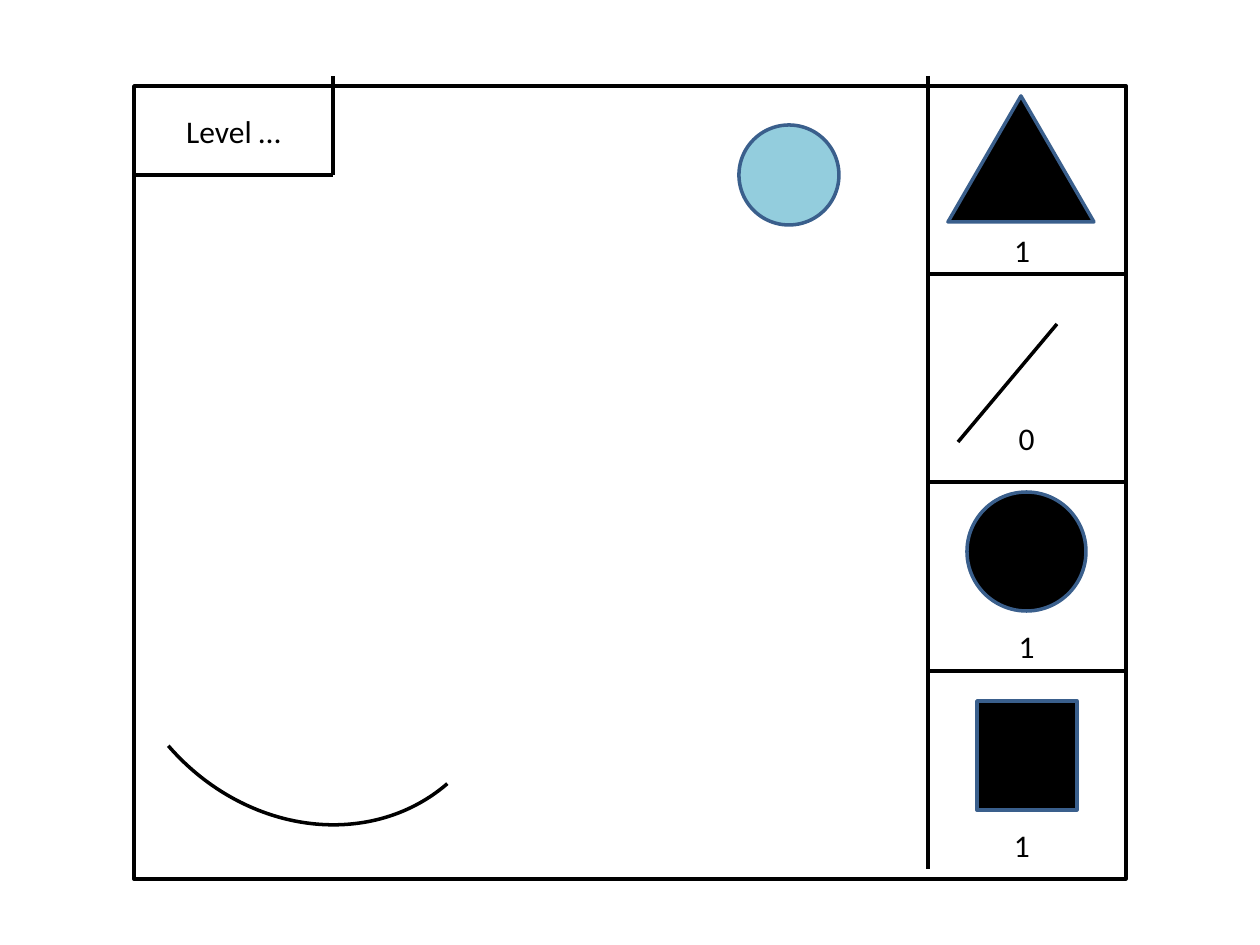
from pptx import Presentation
from pptx import util as u
from pptx.dml.color import RGBColor
from pptx.enum import shapes, text
from pptx.oxml.ns import qn
from lxml import etree

SCALE = 914400 / 126
BLACK, WHITE, BLUE, SKY = "000000", "FFFFFF", "3A5F8C", "93CDDD"
KIND = shapes.MSO_SHAPE


def px(n):
    """Turn pixels into EMU."""
    return u.Emu(round(n * SCALE))


def color(code):
    """Turn a hex string into a colour."""
    return RGBColor.from_string(code)


def write(frame, words, size=18, font="Calibri", ink=BLACK,
          align=text.PP_ALIGN.CENTER):
    """Put formatted text into a frame."""
    para = frame.paragraphs[0]
    para.alignment = align
    run = para.add_run()
    run.text = words
    run.font.size = u.Pt(size)
    run.font.name = font
    run.font.color.rgb = color(ink)


class Board:
    """Holds the line style and the current slide."""

    def __init__(self, slide, width=2):
        """Keep the slide and the line width in points."""
        self.items = slide.shapes
        self.width = u.Pt(width)

    def stroke(self, item, ink):
        """Set the outline of an item."""
        item.line.color.rgb = color(ink)
        item.line.width = self.width

    def shape(self, kind, x, y, w, h, fill=None, ink=BLUE, turn=0):
        """Add a preset shape."""
        item = self.items.add_shape(kind, px(x), px(y), px(w), px(h))
        item.shadow.inherit = False
        item.rotation = turn
        if fill:
            item.fill.solid()
            item.fill.fore_color.rgb = color(fill)
        else:
            item.fill.background()
        self.stroke(item, ink)

    def line(self, x1, y1, x2, y2, ink=BLACK):
        """Add a straight line."""
        item = self.items.add_connector(
            shapes.MSO_CONNECTOR.STRAIGHT, px(x1), px(y1), px(x2), px(y2))
        self.stroke(item, ink)
        etree.SubElement(item._element.spPr, qn("a:effectLst"))

    def label(self, words, x, y, w, h=51):
        """Add a centred text box."""
        frame = self.items.add_textbox(px(x), px(y), px(w), px(h)).text_frame
        frame.word_wrap = True
        frame.auto_size = text.MSO_AUTO_SIZE.SHAPE_TO_FIT_TEXT
        write(frame, words)


deck = Presentation()
deck.slide_width, deck.slide_height = px(1260), px(945)
board = Board(deck.slides.add_slide(deck.slide_layouts[6]))

LEFT, TOP, SIDE, RIGHT = 134, 86, 928, 1126
board.shape(KIND.RECTANGLE, LEFT, TOP, RIGHT - LEFT, 793, WHITE, BLACK)

# Tool column
board.line(SIDE, 76, SIDE, 869)
for y in (274, 482, 671):
    board.line(SIDE, y, RIGHT, y)
board.shape(KIND.ISOSCELES_TRIANGLE, 948, 96, 146, 126, BLACK)
board.line(958, 442, 1057, 324)
board.shape(KIND.OVAL, 967, 492, 119, 119, BLACK)
board.shape(KIND.RECTANGLE, 977, 701, 100, 109, BLACK)
for count, x, y, w in (("1", 967, 225, 110), ("0", 997, 413, 59),
                       ("1", 997, 621, 59), ("1", 977, 820, 90)):
    board.label(count, x, y, w)

# Level box
board.line(LEFT, 175, 333, 175)
board.line(333, 175, 333, 76)
board.label("Level …", 144, 106, 179)

# Play field
board.shape(KIND.ARC, 123, 413, 373, 422, ink=BLACK, turn=139.2)
board.shape(KIND.OVAL, 739, 125, 100, 100, SKY)

deck.save("out.pptx")
